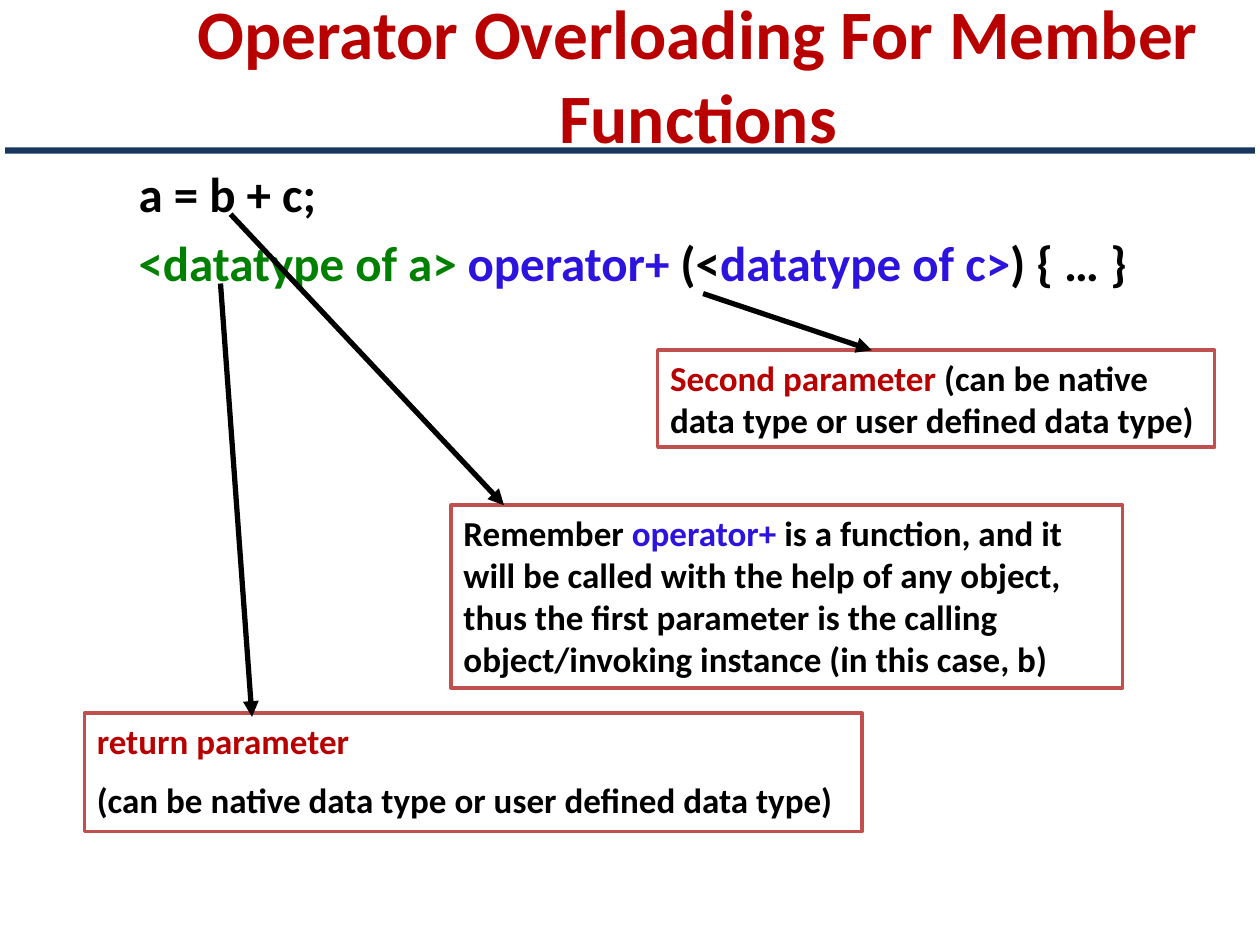
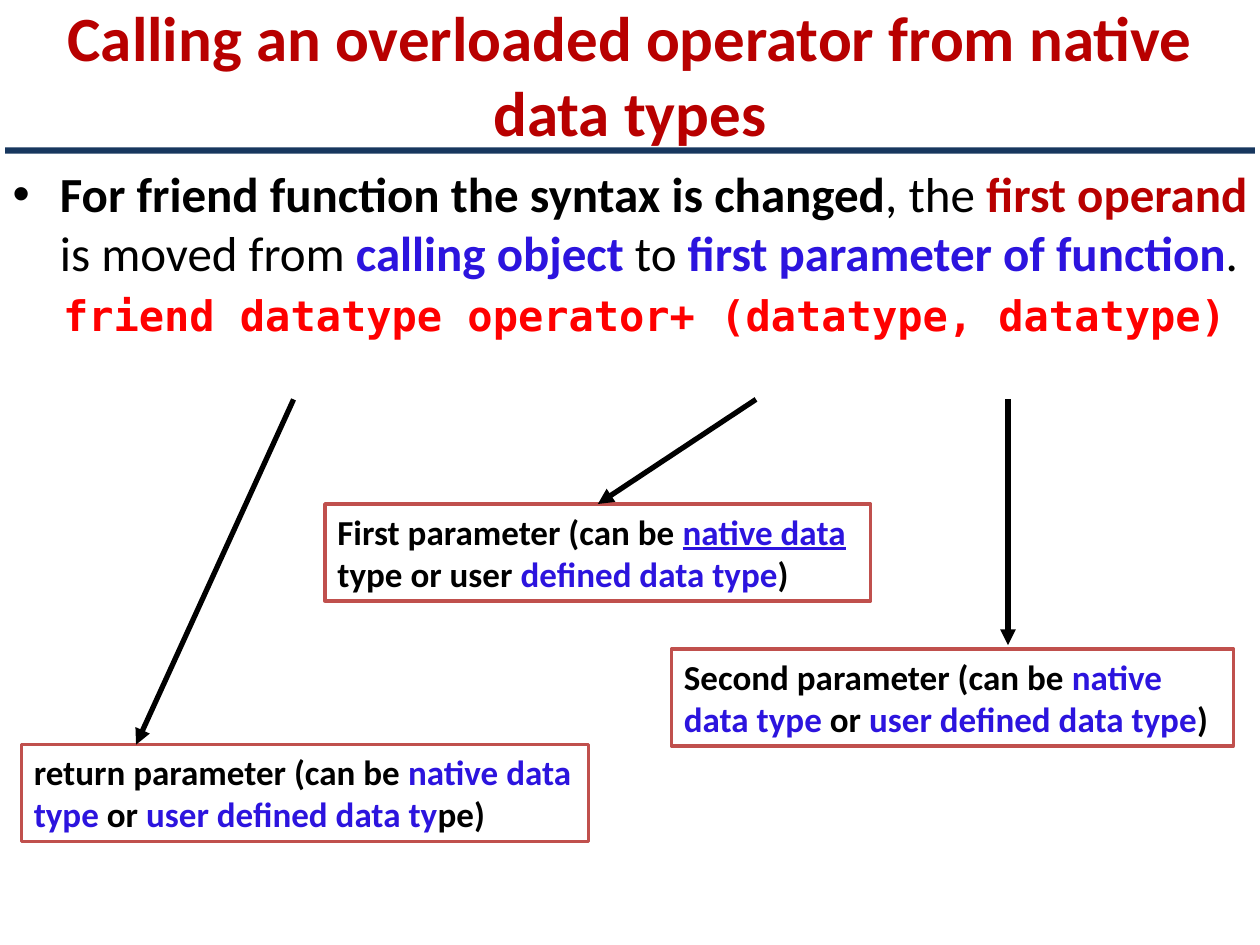
"""Build two slides on operator overloading for member and friend functions."""
from lxml.etree import SubElement
from pptx import Presentation
from pptx.dml.color import RGBColor
from pptx.enum.shapes import MSO_CONNECTOR, MSO_SHAPE
from pptx.enum.text import MSO_ANCHOR, MSO_AUTO_SIZE, PP_ALIGN
from pptx.oxml.ns import qn
from pptx.util import Inches, Pt

RED = RGBColor(0xB8, 0x00, 0x00)
BLUE = RGBColor(0x2C, 0x14, 0xDE)
GREEN = RGBColor(0x00, 0x80, 0x00)
BRIGHT_RED = RGBColor(0xFF, 0x00, 0x00)
BLACK = RGBColor(0x00, 0x00, 0x00)
WHITE = RGBColor(0xFF, 0xFF, 0xFF)
NAVY = RGBColor(0x17, 0x37, 0x5E)
BORDER = RGBColor(0xC0, 0x50, 0x4D)

FONT = "Calibri"
CODE_FONT = "DejaVu Sans Mono"
BODY_SIZE = 28
CODE_SIZE = 24
NOTE_SIZE = 20
BODY_SPACING = 0.2
NOTE_SPACING = 0.5
BODY_AREA = (0, 1.25, 10, 6.17)
RULE_AREA = (0.04, 1.17, 9.92, 0.05)

# Runs are (text, colour, styles); a note's arrow is (from, to, joins top middle).
SLIDES = [
    {
        "title": "Operator Overloading For Member Functions",
        "title_area": (1.08, 0, 8.92, 1.17),
        "title_size": 39.6,
        "body": [
            {"indent": 1, "runs": [("a = b + c;", BLACK)]},
            {"indent": 1, "runs": [
                ("<datatype of a> ", GREEN), ("operator+ ", BLUE), ("(<", BLACK),
                ("datatype of c>", BLUE), (") { … }", BLACK)]},
        ],
        "notes": [
            {"area": (0.67, 5.66, 6.17, 0.94),
             "arrow": ((1.75, 2.25), (2, 5.69), False),
             "text": [
                 [("return parameter", RED)],
                 [("(can be native data type or user defined data type)", BLACK)]]},
            {"area": (5.22, 2.78, 4.42, 0.77),
             "arrow": ((5.58, 2.33), (6.92, 2.78), False),
             "text": [[
                 ("Second parameter ", RED),
                 ("(can be native data type or user defined data type)", BLACK)]]},
            {"area": (3.58, 4.01, 5.33, 1.45),
             "arrow": ((1.83, 1.7), (4, 4.01), False),
             "text": [[
                 ("Remember ", BLACK), ("operator+", BLUE),
                 (" is a function, and it will be called with the help of any object, "
                  "thus the first parameter is the calling object/invoking instance "
                  "(in this case, b)", BLACK)]]},
        ],
    },
    {
        "title": "Calling an overloaded operator from native data types",
        "title_area": (0, 0, 10, 1.17),
        "title_size": 36,
        "body": [
            {"runs": [
                ("For friend function the syntax is changed", BLACK),
                (", the ", BLACK, "plain"), ("first operand ", RED),
                ("is moved from ", BLACK, "plain"), ("calling object ", BLUE),
                ("to ", BLACK, "plain"), ("first parameter of function", BLUE),
                (".", BLACK, "plain")]},
            {"indent": 0.4, "size": CODE_SIZE, "font": CODE_FONT, "runs": [
                ("friend datatype operator+ (datatype, datatype)", BRIGHT_RED)]},
        ],
        "notes": [
            {"area": (0.17, 5.91, 4.5, 0.77),
             "arrow": ((2.33, 3.17), (1.08, 5.91), False),
             "text": [[
                 ("return parameter (can be ", BLACK), ("native data type", BLUE),
                 (" or ", BLACK), ("user defined data ty", BLUE), ("pe)", BLACK)]]},
            {"area": (5.33, 5.15, 4.46, 0.77),
             "arrow": ((8, 3.17), (8, 5.12), False),
             "text": [[
                 ("Second parameter (can be ", BLACK), ("native data type", BLUE),
                 (" or ", BLACK), ("user defined data type", BLUE), (")", BLACK)]]},
            {"area": (2.58, 4, 4.33, 0.77),
             "arrow": ((6, 3.17), (4.75, 4), True),
             "text": [[
                 ("First parameter (can be ", BLACK),
                 ("native data ", BLUE, "underline"), ("type or user ", BLACK),
                 ("defined data type", BLUE), (")", BLACK)]]},
        ],
    },
]


def place(shape, area):
    shape.left, shape.top, shape.width, shape.height = map(Inches, area)


def add_runs(paragraph, runs, size, font=FONT):
    for text, colour, *styles in runs:
        run = paragraph.add_run()
        run.text = text
        run.font.name = font
        run.font.size = Pt(size)
        run.font.color.rgb = colour
        run.font.bold = "plain" not in styles
        if "underline" in styles:
            run.font.underline = True


def next_paragraph(text_frame, index, spacing):
    paragraph = text_frame.add_paragraph() if index else text_frame.paragraphs[0]
    paragraph.space_before = Pt(spacing if index else 0)
    return paragraph


def add_rectangle(slide, area, fill):
    rectangle = slide.shapes.add_shape(MSO_SHAPE.RECTANGLE, *map(Inches, area))
    rectangle.shadow.inherit = False
    rectangle.fill.solid()
    rectangle.fill.fore_color.rgb = fill
    rectangle.line.fill.background()
    return rectangle


def fill_title(slide, content):
    title = slide.shapes.title
    place(title, content["title_area"])
    text_frame = title.text_frame
    text_frame.auto_size = MSO_AUTO_SIZE.NONE
    text_frame.vertical_anchor = MSO_ANCHOR.MIDDLE
    paragraph = text_frame.paragraphs[0]
    paragraph.alignment = PP_ALIGN.CENTER
    add_runs(paragraph, [(content["title"], RED)], content["title_size"])


def fill_body(slide, items):
    body = slide.placeholders[1]
    place(body, BODY_AREA)
    body.text_frame.auto_size = MSO_AUTO_SIZE.NONE
    for index, item in enumerate(items):
        size = item.get("size", BODY_SIZE)
        paragraph = next_paragraph(body.text_frame, index, size * BODY_SPACING)
        if "indent" in item:
            properties = paragraph._p.get_or_add_pPr()
            properties.set("marL", str(Inches(item["indent"])))
            properties.set("indent", "0")
            SubElement(properties, qn("a:buNone"))
        else:
            paragraph.alignment = PP_ALIGN.JUSTIFY
        add_runs(paragraph, item["runs"], size, item.get("font", FONT))


def add_note(slide, note):
    box = add_rectangle(slide, note["area"], WHITE)
    box.line.color.rgb = BORDER
    box.line.width = Pt(2)
    text_frame = box.text_frame
    text_frame.word_wrap = True
    text_frame.vertical_anchor = MSO_ANCHOR.TOP
    for index, runs in enumerate(note["text"]):
        paragraph = next_paragraph(text_frame, index, NOTE_SIZE * NOTE_SPACING)
        paragraph.alignment = PP_ALIGN.LEFT
        add_runs(paragraph, runs, NOTE_SIZE)
    return box


def add_arrow(slide, box, start, end, joined):
    arrow = slide.shapes.add_connector(
        MSO_CONNECTOR.STRAIGHT, *map(Inches, start + end))
    arrow.line.color.rgb = BLACK
    arrow.line.width = Pt(3)
    SubElement(arrow.line._get_or_add_ln(), qn("a:tailEnd"), type="triangle")
    SubElement(arrow._element.spPr, qn("a:effectLst"))
    if joined:
        arrow.end_connect(box, 0)


def main():
    presentation = Presentation()
    presentation.slide_width = Inches(10)
    presentation.slide_height = Inches(7.5)
    for content in SLIDES:
        slide = presentation.slides.add_slide(presentation.slide_layouts[1])
        fill_title(slide, content)
        fill_body(slide, content["body"])
        for note in content["notes"]:
            box = add_note(slide, note)
            add_arrow(slide, box, *note["arrow"])
        add_rectangle(slide, RULE_AREA, NAVY)
    presentation.save("out.pptx")


if __name__ == "__main__":
    main()
